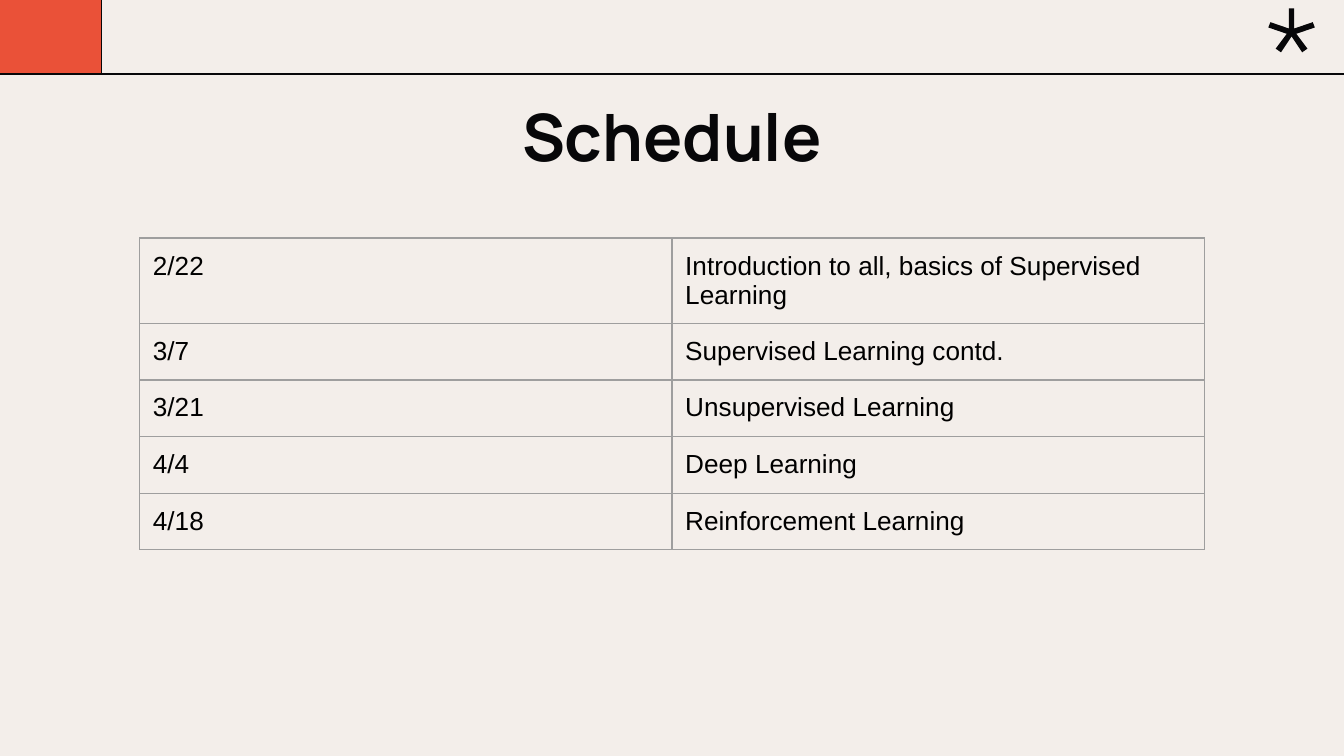
import pptx
import pptx.dml.color
import pptx.enum.shapes
import pptx.enum.text
import pptx.oxml
import pptx.oxml.ns
import pptx.util
from lxml import etree
from pptx.util import Cm

RGBColor = pptx.dml.color.RGBColor
INK = RGBColor(0x07, 0x07, 0x09)
CREAM = RGBColor(0xF3, 0xEE, 0xEA)
ORANGE = RGBColor(0xEA, 0x51, 0x38)
GREY = RGBColor(0x9E, 0x9E, 0x9E)
BLACK = RGBColor(0x00, 0x00, 0x00)

MARGIN = Cm(0.25)
LINE_WIDTH = pptx.util.Pt(0.75)
TITLE_FONT = {"name": "Manrope", "size": pptx.util.Pt(35), "bold": True}
TABLE_FONT = {"name": "Arial", "size": pptx.util.Pt(14), "bold": False}

SCHEDULE = [
    ("2/22", "Introduction to all, basics of Supervised Learning"),
    ("3/7", "Supervised Learning contd."),
    ("3/21", "Unsupervised Learning"),
    ("4/4", "Deep Learning"),
    ("4/18", "Reinforcement Learning"),
]

# Right half of the asterisk, top to bottom: offset from its axis, height
STAR_AXIS = 24.41
STAR_HALF = [(0.05, 0.16), (0.05, 0.54), (0.4, 0.42), (0.44, 0.52),
             (0.09, 0.64), (0.3, 0.92), (0.2, 0.99)]
STAR_NOTCH = (0, 0.69)


class SlideBuilder:
    def __init__(self, presentation):
        self.slide = presentation.slides.add_slide(presentation.slide_layouts[5])
        fill = self.slide.background.fill
        fill.solid()
        fill.fore_color.rgb = CREAM

    def format_font(self, paragraph, style, color):
        for name, value in style.items():
            setattr(paragraph.font, name, value)
        paragraph.font.color.rgb = color

    def title(self, text, left, top, width, height):
        shape = self.slide.shapes.title
        box = {"left": left, "top": top, "width": width, "height": height}
        for name, value in box.items():
            setattr(shape, name, Cm(value))
        frame = shape.text_frame
        settings = {
            "text": text,
            "word_wrap": True,
            "auto_size": pptx.enum.text.MSO_AUTO_SIZE.NONE,
            "vertical_anchor": pptx.enum.text.MSO_ANCHOR.TOP,
            "margin_left": MARGIN, "margin_right": MARGIN,
            "margin_top": MARGIN, "margin_bottom": MARGIN,
        }
        for name, value in settings.items():
            setattr(frame, name, value)
        paragraph = frame.paragraphs[0]
        paragraph.alignment = pptx.enum.text.PP_ALIGN.CENTER
        self.format_font(paragraph, TITLE_FONT, INK)

    def line(self, x1, y1, x2, y2):
        connector = self.slide.shapes.add_connector(
            pptx.enum.shapes.MSO_CONNECTOR.STRAIGHT, Cm(x1), Cm(y1), Cm(x2), Cm(y2))
        connector.line.color.rgb = INK
        connector.line.width = LINE_WIDTH
        etree.SubElement(connector._element.spPr, pptx.oxml.ns.qn("a:effectLst"))

    def paint(self, shape, color):
        shape.shadow.inherit = False
        shape.fill.solid()
        shape.fill.fore_color.rgb = color

    def square(self, left, top, side):
        shape = self.slide.shapes.add_shape(
            pptx.enum.shapes.MSO_SHAPE.RECTANGLE, Cm(left), Cm(top), Cm(side), Cm(side))
        self.paint(shape, ORANGE)
        shape.line.color.rgb = INK
        shape.line.width = LINE_WIDTH

    def asterisk(self, axis, half, notch):
        mirrored = [(-x, y) for x, y in reversed(half)]
        points = [(Cm(axis + x), Cm(y)) for x, y in [*half, notch, *mirrored]]
        builder = self.slide.shapes.build_freeform(*points[0])
        builder.add_line_segments(points[1:], close=True)
        shape = builder.convert_to_shape()
        self.paint(shape, INK)
        shape.line.fill.background()

    def border(self, cell):
        properties = cell._tc.get_or_add_tcPr()
        for side in ("lnL", "lnR", "lnT", "lnB"):
            properties.append(pptx.oxml.parse_xml(
                f'<a:{side} {pptx.oxml.ns.nsdecls("a")} w="{LINE_WIDTH}">'
                f'<a:solidFill><a:srgbClr val="{GREY}"/></a:solidFill></a:{side}>'))

    def table(self, rows, left, top, column_width, row_height):
        columns = len(rows[0])
        table = self.slide.shapes.add_table(
            len(rows), columns, Cm(left), Cm(top),
            Cm(column_width * columns), Cm(row_height * len(rows))).table
        table.first_row = table.horz_banding = False
        for row_index, row in enumerate(rows):
            for column_index, text in enumerate(row):
                cell = table.cell(row_index, column_index)
                cell.text = text
                for side in ("left", "right", "top", "bottom"):
                    setattr(cell, f"margin_{side}", MARGIN)
                self.border(cell)
                cell.fill.background()
                self.format_font(cell.text_frame.paragraphs[0], TABLE_FONT, BLACK)


def main():
    presentation = pptx.Presentation()
    presentation.slide_width = Cm(25.4)
    presentation.slide_height = Cm(14.29)
    builder = SlideBuilder(presentation)

    # Header band
    builder.line(0, 1.4, 25.48, 1.4)
    builder.square(-0.09, -0.61, 2.01)
    builder.asterisk(STAR_AXIS, STAR_HALF, STAR_NOTCH)

    # Title and schedule
    builder.title("Schedule", 1.98, 1.57, 21.44, 1.6)
    builder.table(SCHEDULE, 2.64, 4.5, 10.06, 1.07)

    presentation.save("out.pptx")


if __name__ == "__main__":
    main()
